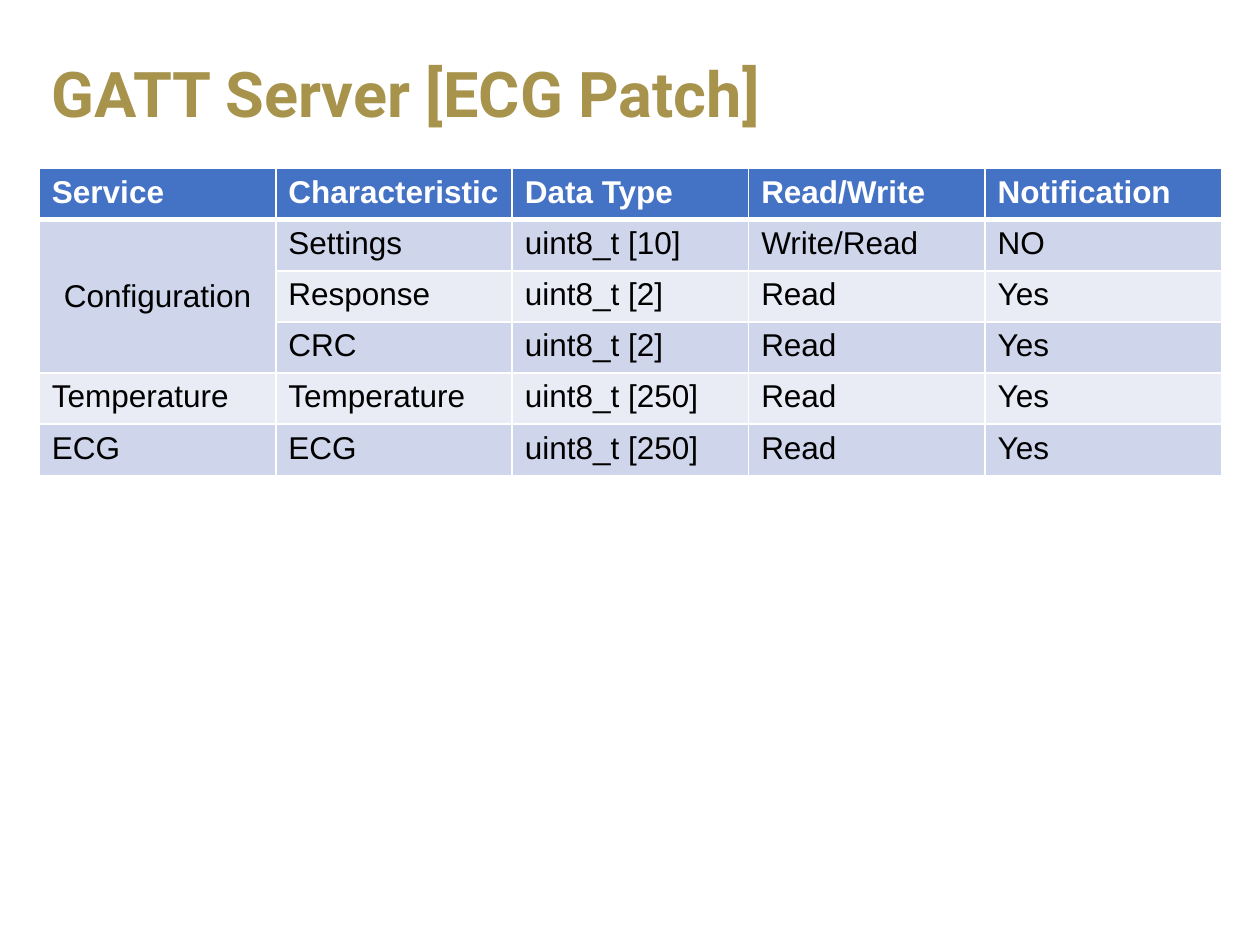
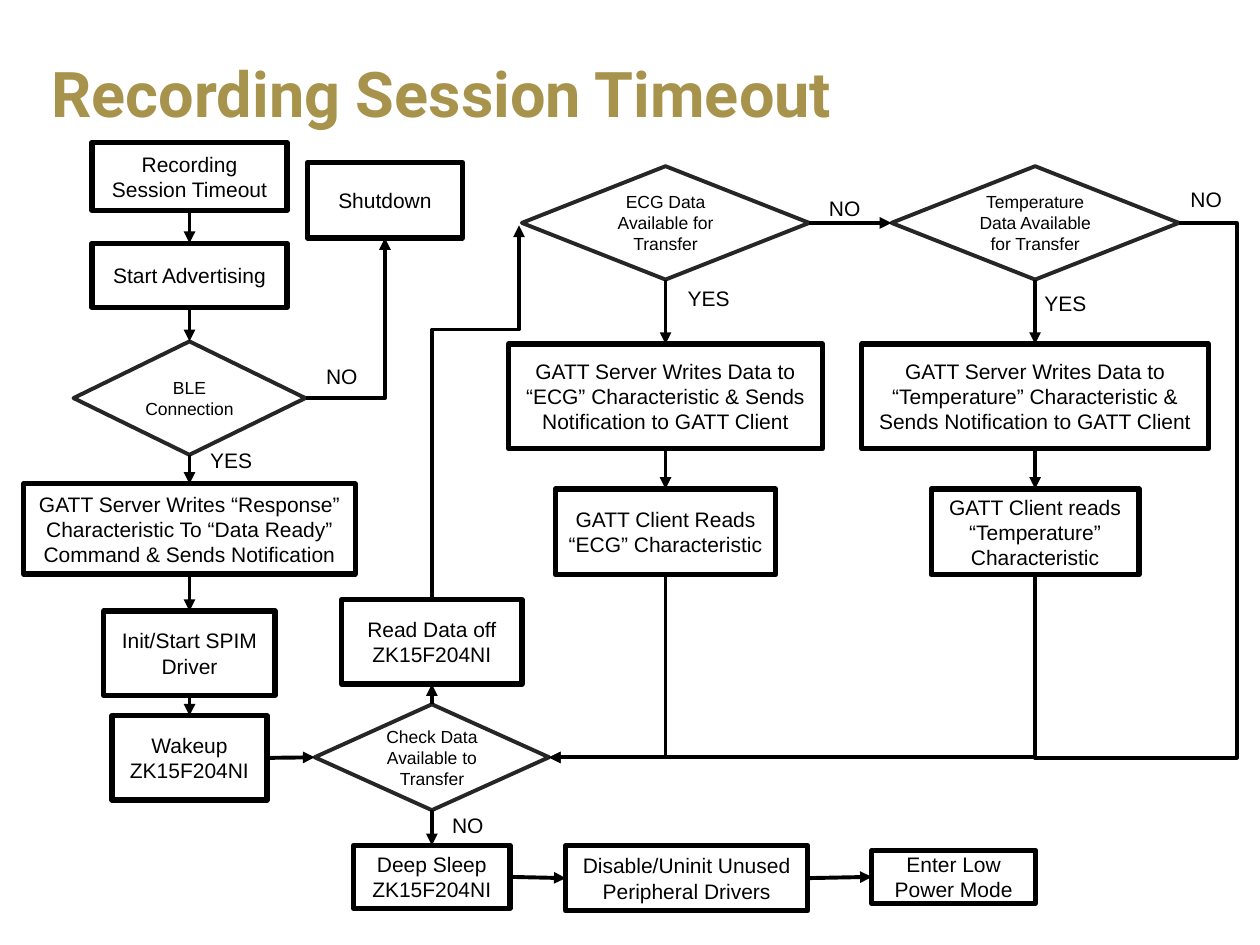
"""Build two slides: the GATT server table and the recording session timeout flowchart."""
import lxml.etree
import pptx
import pptx.dml.color
import pptx.enum.shapes
import pptx.enum.text
import pptx.oxml.ns
import pptx.util

Pt = pptx.util.Pt
qn = pptx.oxml.ns.qn
ALIGN = pptx.enum.text.PP_ALIGN
ANCHOR = pptx.enum.text.MSO_ANCHOR
SHAPE = pptx.enum.shapes.MSO_SHAPE
CONNECTOR = pptx.enum.shapes.MSO_CONNECTOR
TOP, LEFT, BOTTOM, RIGHT = range(4)
COLORS = {
    "title": "A7934B",
    "black": "000000",
    "white": "FFFFFF",
    "decision": "262626",
    "header": "4472C4",
    "odd row": "CFD5EA",
    "even row": "E9EBF5",
}


def rgb(name):
    return pptx.dml.color.RGBColor.from_string(COLORS[name])


def write(frame, text, size, color="black", font="Arial", bold=False, align=ALIGN.LEFT):
    frame.word_wrap = True
    paragraph = frame.paragraphs[0]
    paragraph.alignment = align
    run = paragraph.add_run()
    run.text = text
    run.font.size = Pt(size)
    run.font.name = font
    run.font.bold = bold
    run.font.color.rgb = rgb(color)
    return paragraph


presentation = pptx.Presentation()
presentation.slide_width = Pt(720)
presentation.slide_height = Pt(540)
slides = []
for title, width in [("GATT Server [ECG Patch]", 675.4), ("Recording Session Timeout", 501.8)]:
    slide = presentation.slides.add_slide(presentation.slide_layouts[6])
    title_box = slide.shapes.add_textbox(Pt(22.5), Pt(15.8), Pt(width), Pt(80))
    title_box.text_frame.vertical_anchor = ANCHOR.MIDDLE
    write(title_box.text_frame, title, 36, "title", "Roboto", True).line_spacing = 0.9
    slides.append(slide)
table_slide, flow_slide = slides

table_rows = [
    ["Service", "Characteristic", "Data Type", "Read/Write", "Notification"],
    ["Configuration", "Settings", "uint8_t [10]", "Write/Read", "NO"],
    ["", "Response", "uint8_t [2]", "Read", "Yes"],
    ["", "CRC", "uint8_t [2]", "Read", "Yes"],
    ["Temperature", "Temperature", "uint8_t [250]", "Read", "Yes"],
    ["ECG", "ECG", "uint8_t [250]", "Read", "Yes"],
]
table = table_slide.shapes.add_table(6, 5, Pt(22.5), Pt(96.4), Pt(675.5), Pt(175.2)).table
for column in table.columns:
    column.width = Pt(135.1)
for row in table.rows:
    row.height = Pt(29.2)
for row_index, texts in enumerate(table_rows):
    header = row_index == 0
    row_color = "header" if header else "odd row" if row_index % 2 else "even row"
    for column_index, text in enumerate(texts):
        cell = table.cell(row_index, column_index)
        properties = cell._tc.get_or_add_tcPr()
        for side in ("L", "R", "T", "B"):
            thick = (row_index, side) in [(0, "B"), (1, "T")]
            border = lxml.etree.SubElement(properties, qn(f"a:ln{side}"), w=str(Pt(3 if thick else 1)))
            border_fill = lxml.etree.SubElement(border, qn("a:solidFill"))
            lxml.etree.SubElement(border_fill, qn("a:srgbClr"), val=COLORS["white"])
        cell.fill.solid()
        cell.fill.fore_color.rgb = rgb("odd row" if column_index == 0 and 1 <= row_index <= 3 else row_color)
        if text:
            write(cell.text_frame, text, 18, "white" if header else "black", bold=header)
configuration = table.cell(1, 0)
configuration.merge(table.cell(3, 0))
configuration.vertical_anchor = ANCHOR.MIDDLE
configuration.text_frame.paragraphs[0].alignment = ALIGN.CENTER

session_x, memory_x, ecg_x, temperature_x = 108.3, 246.8, 380.3, 591.5
steps = [
    ("timeout", session_x, 81.4, 111.6, 38.9, "Recording Session Timeout"),
    ("advertise", session_x, 139, 111.6, 36.7, "Start Advertising"),
    ("response", session_x, 276.5, 189.4, 51.5,
     "GATT Server Writes “Response” Characteristic To “Data Ready” Command & Sends Notification"),
    ("driver", session_x, 349.2, 97.9, 48.2, "Init/Start SPIM Driver"),
    ("wakeup", session_x, 409, 88.6, 48.2, "Wakeup ZK15F204NI"),
    ("shutdown", 220, 92.9, 88.6, 43.2, "Shutdown"),
    ("read memory", memory_x, 342.7, 103, 48.2, "Read Data off ZK15F204NI"),
    ("deep sleep", memory_x, 483.1, 89.3, 36, "Deep Sleep ZK15F204NI"),
    ("disable", 392.4, 483.1, 138.2, 37.4, "Disable/Uninit Unused Peripheral Drivers"),
    ("low power", 545, 486, 93.6, 30.2, "Enter Low Power Mode"),
    ("write ecg", ecg_x, 196.6, 179.3, 59.8,
     "GATT Server Writes Data to “ECG” Characteristic & Sends Notification to GATT Client"),
    ("read ecg", ecg_x, 279.4, 126, 49, "GATT Client Reads “ECG” Characteristic"),
    ("write temperature", temperature_x, 196.6, 198, 59.8,
     "GATT Server Writes Data to “Temperature” Characteristic & Sends Notification to GATT Client"),
    ("read temperature", temperature_x, 279.4, 118.8, 49, "GATT Client reads “Temperature” Characteristic"),
]
decisions = [
    ("connection", session_x, 195.1, 132.5, 64.8, "BLE Connection"),
    ("check", memory_x, 402.5, 133.9, 60.5, "Check Data Available to Transfer"),
    ("ecg", ecg_x, 95, 164.2, 64.8, "ECG Data Available for Transfer"),
    ("temperature", temperature_x, 95, 164.2, 64.8, "Temperature Data Available for Transfer"),
]
nodes = {}
for group, preset, line_color, line_width, size in [
    (steps, SHAPE.RECTANGLE, "black", 3, 12),
    (decisions, SHAPE.FLOWCHART_DECISION, "decision", 2.25, 10),
]:
    for name, center, top, width, height, text in group:
        shape = flow_slide.shapes.add_shape(preset, Pt(center - width / 2), Pt(top), Pt(width), Pt(height))
        shape.shadow.inherit = False
        shape.fill.background()
        shape.line.color.rgb = rgb(line_color)
        shape.line.width = Pt(line_width)
        shape.text_frame.vertical_anchor = ANCHOR.MIDDLE
        write(shape.text_frame, text, size, align=ALIGN.CENTER)
        nodes[name] = shape

connectors = []
for source, source_side, target, target_side in [
    ("timeout", BOTTOM, "advertise", TOP),
    ("advertise", BOTTOM, "connection", TOP),
    ("connection", BOTTOM, "response", TOP),
    ("response", BOTTOM, "driver", TOP),
    ("driver", BOTTOM, "wakeup", TOP),
    ("wakeup", RIGHT, "check", LEFT),
    ("check", TOP, "read memory", BOTTOM),
    ("check", BOTTOM, "deep sleep", TOP),
    ("deep sleep", RIGHT, "disable", LEFT),
    ("disable", RIGHT, "low power", LEFT),
    ("ecg", BOTTOM, "write ecg", TOP),
    ("write ecg", BOTTOM, "read ecg", TOP),
    ("ecg", RIGHT, "temperature", LEFT),
    ("temperature", BOTTOM, "write temperature", TOP),
    ("write temperature", BOTTOM, "read temperature", TOP),
]:
    connector = flow_slide.shapes.add_connector(CONNECTOR.STRAIGHT, 0, 0, 0, 0)
    connector.begin_connect(nodes[source], source_side)
    connector.end_connect(nodes[target], target_side)
    connectors.append((connector, True))

for source, source_side, target, target_side, frame, preset, quarter_turns, adjustments, arrow in [
    ("connection", RIGHT, "shutdown", BOTTOM, (174.6, 227.5, 220, 136.1), "bentConnector2", 0, [], True),
    ("read memory", TOP, None, None, (378.7, 260.6, 164.9, 211), "bentConnector3", 1, [72200], True),
    ("read ecg", BOTTOM, "check", RIGHT, (294.8, 347.3, 399.2, 413.9), "bentConnector2", 1, [], True),
    ("read temperature", BOTTOM, "check", RIGHT, (400.4, 241.7, 504.8, 519.5), "bentConnector2", 1, [], True),
    ("temperature", RIGHT, None, None, (673.6, 127.4, 591.5, 432.8), "bentConnector4", 0, [-40400, 100100], False),
]:
    connector = flow_slide.shapes.add_connector(CONNECTOR.ELBOW, 0, 0, 0, 0)
    connector.begin_connect(nodes[source], source_side)
    if target:
        connector.end_connect(nodes[target], target_side)
    connector.begin_x, connector.begin_y, connector.end_x, connector.end_y = map(Pt, frame)
    properties = connector._element.spPr
    properties.find(qn("a:xfrm")).set("rot", str(quarter_turns * 5400000))
    geometry = properties.find(qn("a:prstGeom"))
    geometry.set("prst", preset)
    for number, value in enumerate(adjustments, 1):
        lxml.etree.SubElement(geometry.find(qn("a:avLst")), qn("a:gd"), name=f"adj{number}", fmla=f"val {value}")
    connectors.append((connector, arrow))

for connector, arrow in connectors:
    connector.line.color.rgb = rgb("black")
    connector.line.width = Pt(2.25)
    properties = connector._element.spPr
    if arrow:
        lxml.etree.SubElement(properties.find(qn("a:ln")), qn("a:tailEnd"), type="triangle")
    lxml.etree.SubElement(properties, qn("a:effectLst"))

for text, left, top in [
    ("YES", 113, 252),
    ("NO", 179.3, 204.5),
    ("NO", 251.3, 460.8),
    ("YES", 385.9, 159.8),
    ("YES", 589.7, 162.7),
    ("NO", 466.6, 108),
    ("NO", 673.2, 103),
]:
    label = flow_slide.shapes.add_textbox(Pt(left), Pt(top), Pt(43.2), Pt(21.6))
    write(label.text_frame, text, 12)
    label.text_frame.auto_size = pptx.enum.text.MSO_AUTO_SIZE.SHAPE_TO_FIT_TEXT

presentation.save("out.pptx")
